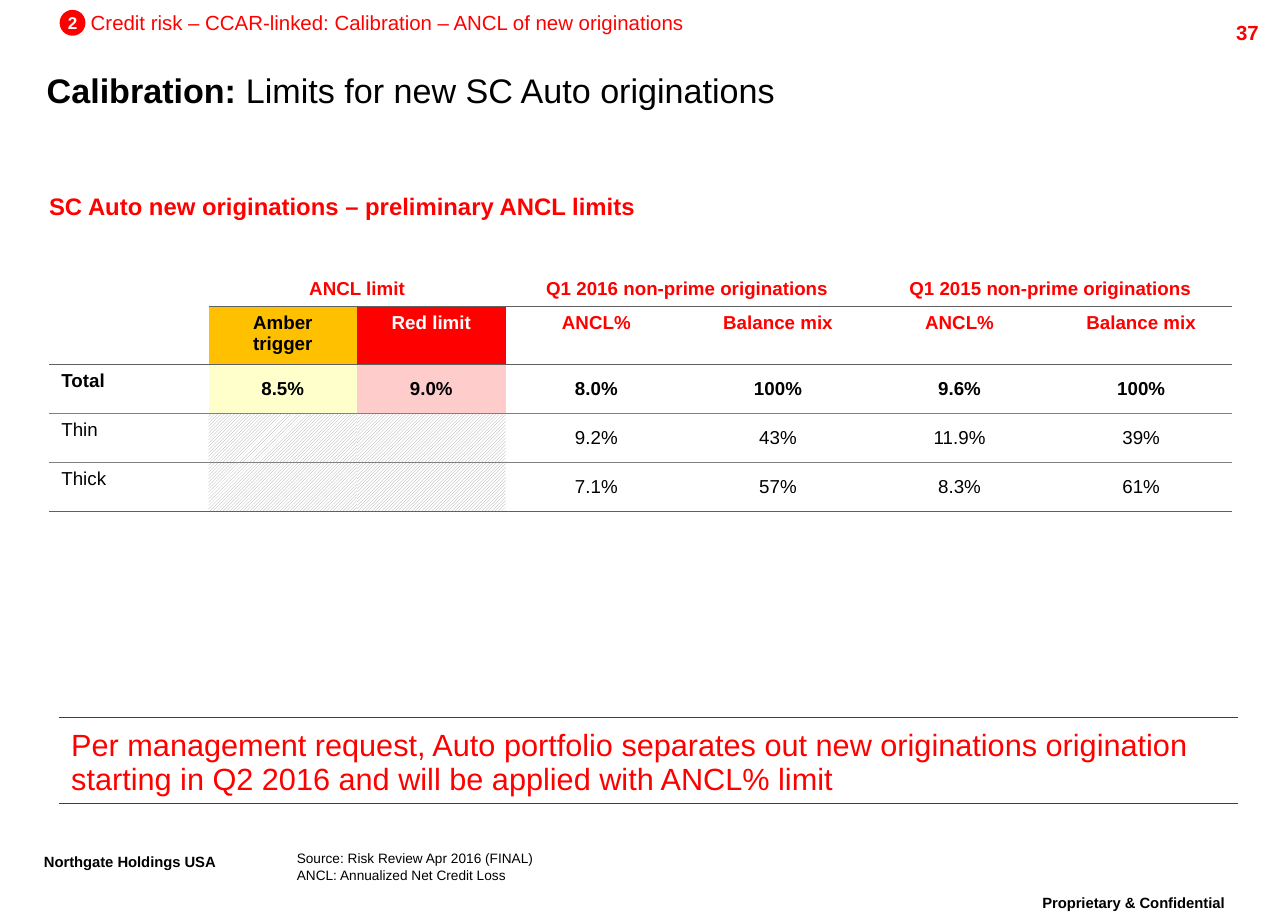
from lxml import etree
from pptx import Presentation
from pptx import util as u
from pptx.dml import color as c
from pptx.enum import dml, shapes, text
from pptx.oxml import ns

Pt = u.Pt
LEFT, CENTER, RIGHT = text.PP_ALIGN.LEFT, text.PP_ALIGN.CENTER, text.PP_ALIGN.RIGHT
TOP, MIDDLE, BOTTOM = text.MSO_ANCHOR.TOP, text.MSO_ANCHOR.MIDDLE, text.MSO_ANCHOR.BOTTOM
RED, BLACK, WHITE = "FF0000", "000000", "FFFFFF"
RULE, THIN_RULE, CALLOUT_RULE = "606060", "808080", "3F3F3F"
PLAIN_TABLE = "{2D5ABB26-0587-4C30-8999-92F81FD0307C}"


def rgb(value):
    return c.RGBColor.from_string(value)


class Deck:
    font = "Arial"

    def __init__(self, width, height):
        self.prs = Presentation()
        self.prs.slide_width, self.prs.slide_height = Pt(width), Pt(height)
        self.s = self.prs.slides.add_slide(self.prs.slide_layouts[5])

    def style(self, p, size, color, bold=False, align=LEFT, spacing=None):
        p.alignment = align
        if spacing:
            p.line_spacing = spacing
        p.font.name, p.font.size = self.font, Pt(size)
        p.font.color.rgb = rgb(color)
        if bold is not None:
            p.font.bold = bold

    def frame(self, tf, inset=0, anchor=TOP, wrap=True):
        tf.margin_left = tf.margin_right = Pt(inset)
        tf.margin_top = tf.margin_bottom = Pt(inset / 2)
        tf.vertical_anchor, tf.word_wrap = anchor, wrap
        tf.auto_size = text.MSO_AUTO_SIZE.NONE

    def title(self, x, y, w, h, lead, rest):
        sp = self.s.shapes.title
        sp.left, sp.top, sp.width, sp.height = Pt(x), Pt(y), Pt(w), Pt(h)
        self.frame(sp.text_frame, anchor=MIDDLE)
        p = sp.text_frame.paragraphs[0]
        self.style(p, 20, BLACK, bold=None)
        for words, bold in ((lead, True), (rest, False)):
            r = p.add_run()
            r.text, r.font.bold = words, bold

    def text(self, x, y, w, h, lines, size, color=BLACK, bold=False,
             align=LEFT, inset=0, spacing=None, raised=False):
        tf = self.s.shapes.add_textbox(Pt(x), Pt(y), Pt(w), Pt(h)).text_frame
        self.frame(tf, inset)
        tf.text = "\n".join(lines)
        for p in tf.paragraphs:
            self.style(p, size, color, bold, align, spacing)
            if raised:
                for r in p.runs:
                    r.font._element.set("baseline", "30000")

    def badge(self, x, y, size, label):
        sp = self.s.shapes.add_shape(shapes.MSO_SHAPE.OVAL, Pt(x), Pt(y), Pt(size), Pt(size))
        sp.shadow.inherit = False
        sp.fill.solid()
        sp.fill.fore_color.rgb = rgb(RED)
        sp.line.fill.background()
        self.frame(sp.text_frame, anchor=MIDDLE, wrap=False)
        sp.text_frame.text = label
        self.style(sp.text_frame.paragraphs[0], 10, WHITE, True, CENTER)

    def table(self, x, y, widths, heights):
        frame = self.s.shapes.add_table(len(heights), len(widths), Pt(x), Pt(y),
                                        Pt(sum(widths)), Pt(sum(heights)))
        table = frame.table
        table.first_row = table.horz_banding = False
        table._tbl.tblPr.find(ns.qn("a:tableStyleId")).text = PLAIN_TABLE
        for column, width in zip(table.columns, widths):
            column.width = Pt(width)
        for row, height in zip(table.rows, heights):
            row.height = Pt(height)
        return table

    def cell(self, cell, words, size=11, color=BLACK, bold=False, align=CENTER,
             anchor=TOP, fill=None, hatched=False, top=None, bottom=None, weight=1):
        cell.text, cell.vertical_anchor = words, anchor
        self.style(cell.text_frame.paragraphs[0], size, color, bold, align)
        if hatched:
            cell.fill.patterned()
            cell.fill.pattern = dml.MSO_PATTERN.LIGHT_UPWARD_DIAGONAL
            cell.fill.fore_color.rgb, cell.fill.back_color.rgb = rgb("A6A6A6"), rgb(WHITE)
        elif fill:
            cell.fill.solid()
            cell.fill.fore_color.rgb = rgb(fill)
        else:
            cell.fill.background()
        # Borders come before the fill, top before bottom
        for tag, color in (("a:lnB", bottom), ("a:lnT", top)):
            if color:
                ln = etree.Element(ns.qn(tag), w=str(Pt(weight)))
                solid = etree.SubElement(ln, ns.qn("a:solidFill"))
                etree.SubElement(solid, ns.qn("a:srgbClr"), val=color)
                cell._tc.get_or_add_tcPr().insert(0, ln)


def limits_table(deck):
    rows = [
        ["", "ANCL limit", "", "Q1 2016 non-prime originations", "",
         "Q1 2015 non-prime originations", ""],
        ["", "Amber trigger", "Red limit"] + ["ANCL%", "Balance mix"] * 2,
        ["Total", "8.5%", "9.0%", "8.0%", "100%", "9.6%", "100%"],
        ["Thin", "", "", "9.2%", "43%", "11.9%", "39%"],
        ["Thick", "", "", "7.1%", "57%", "8.3%", "61%"],
    ]
    fills = {(1, 1): "FFC000", (1, 2): RED, (2, 1): "FFFFCC", (2, 2): "FFCCCC"}
    header_colors = {(1, 1): BLACK, (1, 2): WHITE}
    top_rules = [None, RULE, RULE, THIN_RULE, THIN_RULE]

    table = deck.table(28.8, 160, [93.6] + [87.2] * 2 + [106.6] * 4, [20, 34] + [28.8] * 3)
    table.cell(0, 0).merge(table.cell(1, 0))
    for j in (1, 3, 5):
        table.cell(0, j).merge(table.cell(0, j + 1))
    for i, row in enumerate(rows):
        for j, words in enumerate(row):
            deck.cell(
                table.cell(i, j), words,
                color=header_colors.get((i, j), RED) if i < 2 else BLACK,
                bold=i < 3,
                align=CENTER if j else LEFT,
                anchor=MIDDLE if i > 1 and j else TOP,
                fill=fills.get((i, j)),
                hatched=i > 2 and j in (1, 2),
                top=top_rules[i] if i > 1 or j else None,
                bottom=RULE if i == len(rows) - 1 else None)


def main():
    deck = Deck(756, 540)

    # Heading
    deck.badge(35, 5.8, 15.2, "2")
    deck.text(53.3, 5.8, 360, 14.4,
              ["Credit risk – CCAR-linked: Calibration – ANCL of new originations"], 12, RED)
    deck.text(674, 8, 72, 17.3, ["37"], 12, RED, True, RIGHT, inset=7.2)
    deck.title(27.4, 35.3, 643, 34.6, "Calibration: ", "Limits for new SC Auto originations")

    # Limits
    deck.text(28.8, 115.2, 663, 14.4, ["SC Auto new originations – preliminary ANCL limits"],
              14, RED, True, spacing=0.86)
    limits_table(deck)

    # Callout
    callout = deck.table(34.6, 421, [692], [50.4])
    deck.cell(callout.cell(0, 0),
              "Per management request, Auto portfolio separates out new originations "
              "origination starting in Q2 2016 and will be applied with ANCL% limit",
              18, RED, align=LEFT, anchor=BOTTOM,
              top=CALLOUT_RULE, bottom=CALLOUT_RULE, weight=0.75)

    # Footer
    deck.text(174.2, 499, 140.4, 28.8,
              ["Source: Risk Review Apr 2016 (FINAL)", "ANCL: Annualized Net Credit Loss"], 8)
    deck.text(18.7, 497.5, 137.5, 25.2, ["Northgate Holdings USA"], 15, bold=True,
              inset=7.2, spacing=0.86, raised=True)
    deck.text(586.8, 522, 157, 25.2, ["Proprietary & Confidential"], 15, bold=True,
              align=CENTER, inset=7.2, spacing=0.86, raised=True)

    deck.prs.save("out.pptx")


if __name__ == "__main__":
    main()
